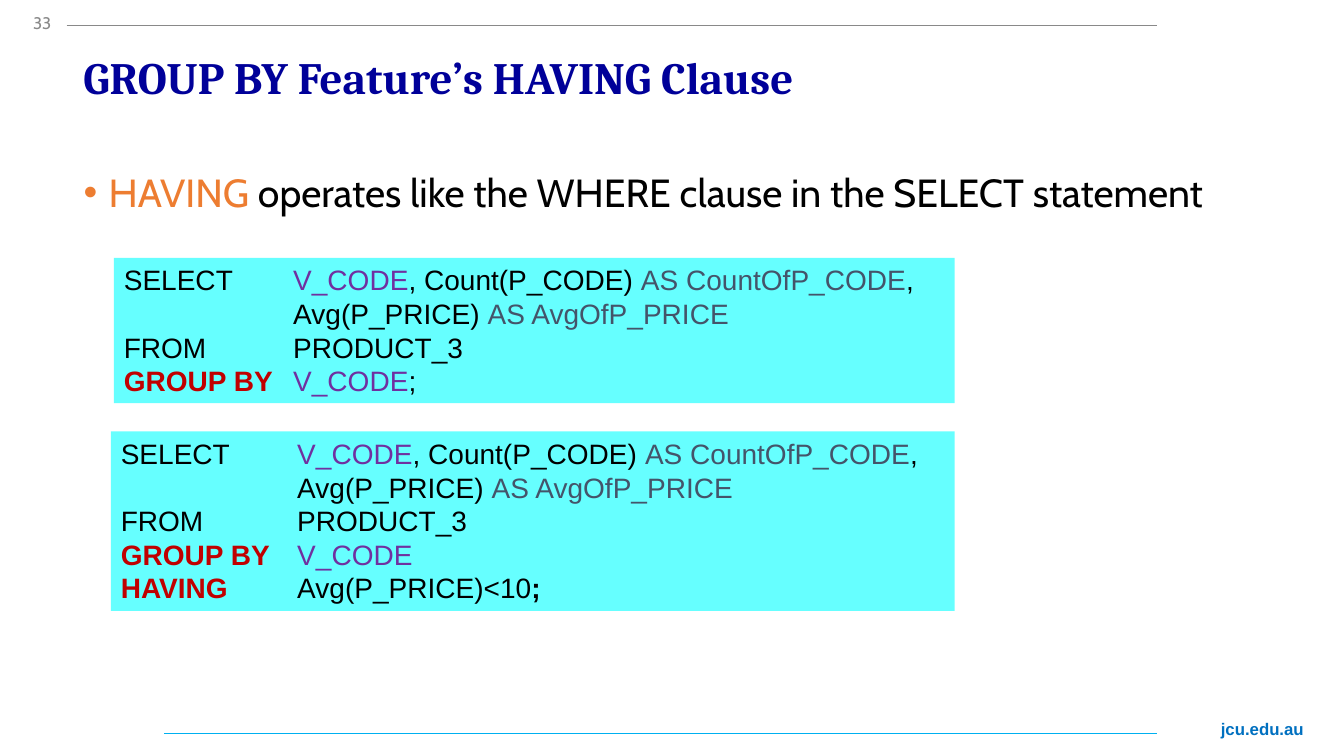
from lxml import etree
from pptx import Presentation
from pptx.dml.color import RGBColor
from pptx.enum.shapes import MSO_CONNECTOR, MSO_SHAPE
from pptx.enum.text import MSO_ANCHOR, PP_ALIGN
from pptx.oxml.ns import qn
from pptx.util import Inches, Pt

BLACK, PURPLE, SLATE, RED = "000000", "7030A0", "44546A", "C00000"
ORANGE, NAVY, GREY = "ED7D31", "000099", "898989"
CYAN, SKY, BLUE = "66FFFF", "00B0F0", "0070C0"

# Each code line is a list of (text, colour, bold)
SELECT_LINES = [
    [("SELECT\t", BLACK, False), ("V_CODE", PURPLE, False),
     (", Count(P_CODE) ", BLACK, False),
     ("AS CountOfP_CODE", SLATE, False), (",", BLACK, False)],
    [("\tAvg(P_PRICE) ", BLACK, False), ("AS AvgOfP_PRICE", SLATE, False)],
    [("FROM\tPRODUCT_3", BLACK, False)],
]
GROUP_BY = [("GROUP BY\t", RED, True), ("V_CODE", PURPLE, False)]
HAVING = [("HAVING\t", RED, True), ("Avg(P_PRICE)<10", BLACK, False),
          (";", BLACK, True)]


def colour(value):
    return RGBColor.from_string(value)


def add_spans(para, spans, size, font):
    for text, tint, bold in spans:
        span = para.add_run()
        span.text = text
        span.font.size = Pt(size)
        span.font.name = font
        span.font.bold = bold
        span.font.color.rgb = colour(tint)


def add_text(page, left, top, width, height, spans, size, font,
             anchor=MSO_ANCHOR.TOP):
    box = page.shapes.add_textbox(
        Inches(left), Inches(top), Inches(width), Inches(height))
    box.text_frame.word_wrap = True
    box.text_frame.vertical_anchor = anchor
    para = box.text_frame.paragraphs[0]
    add_spans(para, spans, size, font)
    return para


def add_bullet(para, indent):
    properties = para._p.get_or_add_pPr()
    properties.set("marL", str(Inches(indent)))
    properties.set("indent", str(-Inches(indent)))
    font = etree.SubElement(properties, qn("a:buFont"))
    font.set("typeface", "Arial")
    etree.SubElement(properties, qn("a:buChar")).set("char", "•")


def add_tab(para, position):
    properties = para._p.get_or_add_pPr()
    tabs = etree.SubElement(properties, qn("a:tabLst"))
    tab = etree.SubElement(tabs, qn("a:tab"))
    tab.set("pos", str(Inches(position)))
    tab.set("algn", "l")


def add_rule(page, left, right, top, tint):
    rule = page.shapes.add_connector(
        MSO_CONNECTOR.STRAIGHT,
        Inches(left), Inches(top), Inches(right), Inches(top))
    rule.line.color.rgb = colour(tint)
    rule.line.width = Pt(0.5)
    etree.SubElement(rule._element.spPr, qn("a:effectLst"))


def add_code(page, left, top, width, height, lines, tab):
    box = page.shapes.add_shape(
        MSO_SHAPE.RECTANGLE,
        Inches(left), Inches(top), Inches(width), Inches(height))
    box.shadow.inherit = False
    box.fill.solid()
    box.fill.fore_color.rgb = colour(CYAN)
    box.line.fill.background()
    frame = box.text_frame
    frame.word_wrap = True
    frame.vertical_anchor = MSO_ANCHOR.TOP
    for index, spans in enumerate(lines):
        para = frame.add_paragraph() if index else frame.paragraphs[0]
        para.alignment = PP_ALIGN.LEFT
        add_tab(para, tab)
        add_spans(para, spans, 20, "Arial")


def main():
    deck = Presentation()
    deck.slide_width, deck.slide_height = Inches(13.33), Inches(7.5)
    page = deck.slides.add_slide(deck.slide_layouts[6])

    # Page frame: rules, page number and web address
    add_rule(page, 1.63, 11.48, 7.28, SKY)
    add_rule(page, 0.66, 11.48, 0.25, GREY)
    add_text(page, 0.23, 0.08, 0.5, 0.37, [("33", GREY, False)], 12, "Cabin")
    add_text(page, 12.01, 7.08, 1.05, 0.3,
             [("jcu.edu.au", BLUE, True)], 12, "Arial")

    # Title and key point
    title = add_text(page, 0.73, 0.51, 8.74, 0.56,
                     [("GROUP BY Feature’s HAVING Clause", NAVY, True)],
                     32, "Cambria", MSO_ANCHOR.MIDDLE)
    title.line_spacing = 0.9
    point = add_text(
        page, 0.73, 1.62, 12.25, 0.7,
        [("HAVING", ORANGE, False),
         (" operates like the WHERE clause in the SELECT statement",
          BLACK, False)], 28, "Cabin")
    add_bullet(point, 0.25)

    # The query without and with HAVING
    add_code(page, 1.13, 2.56, 8.34, 1.44,
             SELECT_LINES + [GROUP_BY + [(";", BLACK, False)]], 1.68)
    add_code(page, 1.1, 4.28, 8.37, 1.78,
             SELECT_LINES + [GROUP_BY, HAVING], 1.75)

    deck.save("out.pptx")


if __name__ == "__main__":
    main()
